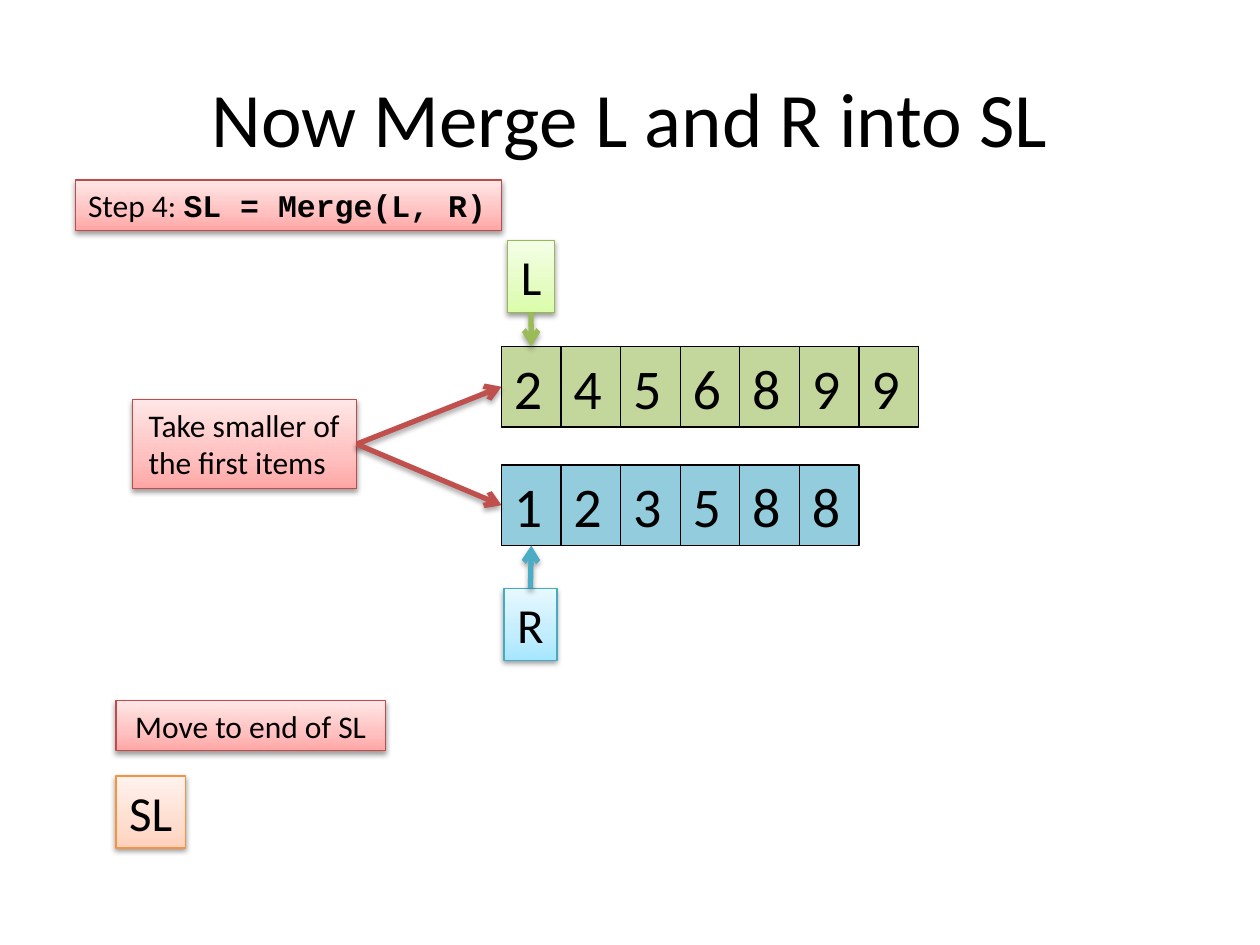
from lxml.etree import SubElement
from pptx import Presentation
from pptx.dml.color import RGBColor
from pptx.enum.shapes import MSO_CONNECTOR, MSO_SHAPE
from pptx.enum.text import MSO_ANCHOR, PP_ALIGN
from pptx.oxml.ns import qn
from pptx.util import Inches, Pt

COLORS = {"text": "000000", "green": "C3D69B", "blue": "93CDDD",
          "green arrow": "9BBB59", "blue arrow": "4BACC6", "red arrow": "C0504D"}
# Outline, then gradient stops from bottom to top
GRADIENTS = {
    "red": ("BF4C48", ("FFA6A5", "FFC0BF", "FFE7E7")),
    "green": ("98B955", ("DAFDA7", "E4FCC2", "F5FFE7")),
    "blue": ("46AAC5", ("A7E6FF", "C1EDFF", "E7F8FF")),
    "orange": ("F69240", ("FFD2BD", "FFDED0", "FFF2ED")),
}
STOPS = (0, 35, 100)

TITLE = "Now Merge L and R into SL"
# name: runs (text, font, bold), size, gradient, position, wrap, alignment
LEFT, CENTER = PP_ALIGN.LEFT, PP_ALIGN.CENTER
BOXES = {
    "step": ([("Step 4: ", "Calibri", False), ("SL = Merge(L, R)", "Courier New", True)],
             18, "red", (0.6, 1.43, 3.38, 0.4), False, LEFT),
    "L": ([("L", "Calibri", False)], 28, "green", (4.03, 1.91, 0.37, 0.57), False, CENTER),
    "R": ([("R", "Calibri", False)], 28, "blue", (4, 4.67, 0.42, 0.57), False, CENTER),
    "SL": ([("SL", "Calibri", False)], 28, "orange", (0.92, 6.16, 0.55, 0.57), False, CENTER),
    "take": ([("Take smaller of the first items", "Calibri", False)],
             18, "red", (1.05, 3.17, 1.78, 0.71), True, LEFT),
    "move": ([("Move to end of SL", "Calibri", False)],
             18, "red", (0.92, 5.56, 2.14, 0.4), True, CENTER),
}
# name: values, fill, top
LISTS = {"L list": ([2, 4, 5, 6, 8, 9, 9], "green", 2.75),
         "R list": ([1, 2, 3, 5, 8, 8], "blue", 3.69)}
LIST_LEFT, CELL_W, CELL_H = 3.98, 3.31 / 7, 0.64
# from, side, to (first cell of list), side, colour
TOP, LEFT_SIDE, BOTTOM, RIGHT_SIDE = range(4)
ARROWS = [("L", BOTTOM, "L list", TOP, "green arrow"),
          ("R", TOP, "R list", BOTTOM, "blue arrow"),
          ("take", RIGHT_SIDE, "L list", LEFT_SIDE, "red arrow"),
          ("take", RIGHT_SIDE, "R list", LEFT_SIDE, "red arrow")]


def rgb(value):
    return RGBColor.from_string(value)


def add_shadow(shape, dist, alpha):
    """Give the shape a soft shadow straight below it; dist in points, alpha in percent."""
    effects = SubElement(shape._element.spPr, qn("a:effectLst"))
    shadow = SubElement(effects, qn("a:outerShdw"), blurRad=str(Pt(3.1)),
                        dist=str(Pt(dist)), dir="5400000", rotWithShape="0")
    color = SubElement(shadow, qn("a:srgbClr"), val="000000")
    SubElement(color, qn("a:alpha"), val=str(alpha * 1000))


def set_gradient(shape, colors):
    shape.fill.gradient()
    shape.fill.gradient_angle = 90
    stops = shape._element.spPr.find(".//" + qn("a:gsLst"))
    for stop in list(stops):
        stops.remove(stop)
    for pos, value in zip(STOPS, colors):
        stop = SubElement(stops, qn("a:gs"), pos=str(pos * 1000))
        SubElement(stop, qn("a:srgbClr"), val=value)


def add_rect(slide, at, line, runs, size, align, anchor):
    sp = slide.shapes.add_shape(MSO_SHAPE.RECTANGLE, *map(Inches, at))
    sp.line.color.rgb = rgb(line)
    sp.line.width = Pt(0.75)
    tf = sp.text_frame
    tf.vertical_anchor = anchor
    p = tf.paragraphs[0]
    p.alignment = align
    p.font.size = Pt(size)
    p.font.color.rgb = rgb(COLORS["text"])
    for text, font, bold in runs:
        r = p.add_run()
        r.text = text
        r.font.name = font
        r.font.bold = bold
    return sp


def add_box(slide, runs, size, gradient, at, wrap, align):
    line, colors = GRADIENTS[gradient]
    sp = add_rect(slide, at, line, runs, size, align, MSO_ANCHOR.TOP)
    sp.text_frame.word_wrap = wrap
    set_gradient(sp, colors)
    add_shadow(sp, 1.6, 38)
    return sp


def add_list(slide, values, fill, top):
    """Draw one row of cells and return the first."""
    cells = []
    for i, value in enumerate(values):
        at = (LIST_LEFT + i * CELL_W, top, CELL_W, CELL_H)
        sp = add_rect(slide, at, COLORS["text"], [(str(value), "Calibri", False)],
                      32, LEFT, MSO_ANCHOR.MIDDLE)
        sp.fill.solid()
        sp.fill.fore_color.rgb = rgb(COLORS[fill])
        sp.shadow.inherit = False
        cells.append(sp)
    return cells[0]


def add_arrow(slide, start, start_side, end, end_side, color):
    line = slide.shapes.add_connector(MSO_CONNECTOR.STRAIGHT, 0, 0, 0, 0)
    line.begin_connect(start, start_side)
    line.end_connect(end, end_side)
    line.line.color.rgb = rgb(COLORS[color])
    line.line.width = Pt(3)
    SubElement(line.line._get_or_add_ln(), qn("a:tailEnd"), type="arrow")
    add_shadow(line, 1.8, 35)


def main():
    prs = Presentation()
    prs.slide_width, prs.slide_height = Inches(10), Inches(7.5)
    slide = prs.slides.add_slide(prs.slide_layouts[5])

    title = slide.shapes.title
    title.left, title.top, title.width, title.height = map(Inches, (0.5, 0.3, 9, 1.25))
    title.text_frame.text = TITLE
    title.text_frame.vertical_anchor = MSO_ANCHOR.MIDDLE
    p = title.text_frame.paragraphs[0]
    p.alignment = CENTER
    p.font.name = "Calibri"
    p.font.size = Pt(44)
    p.font.color.rgb = rgb(COLORS["text"])

    ends = {name: add_box(slide, *box) for name, box in BOXES.items()}
    take = ends["take"].text_frame
    take.margin_left, take.margin_right = Inches(0.13), Inches(0.05)
    ends.update({name: add_list(slide, *row) for name, row in LISTS.items()})
    for start, start_side, end, end_side, color in ARROWS:
        add_arrow(slide, ends[start], start_side, ends[end], end_side, color)

    prs.save("out.pptx")


if __name__ == "__main__":
    main()
